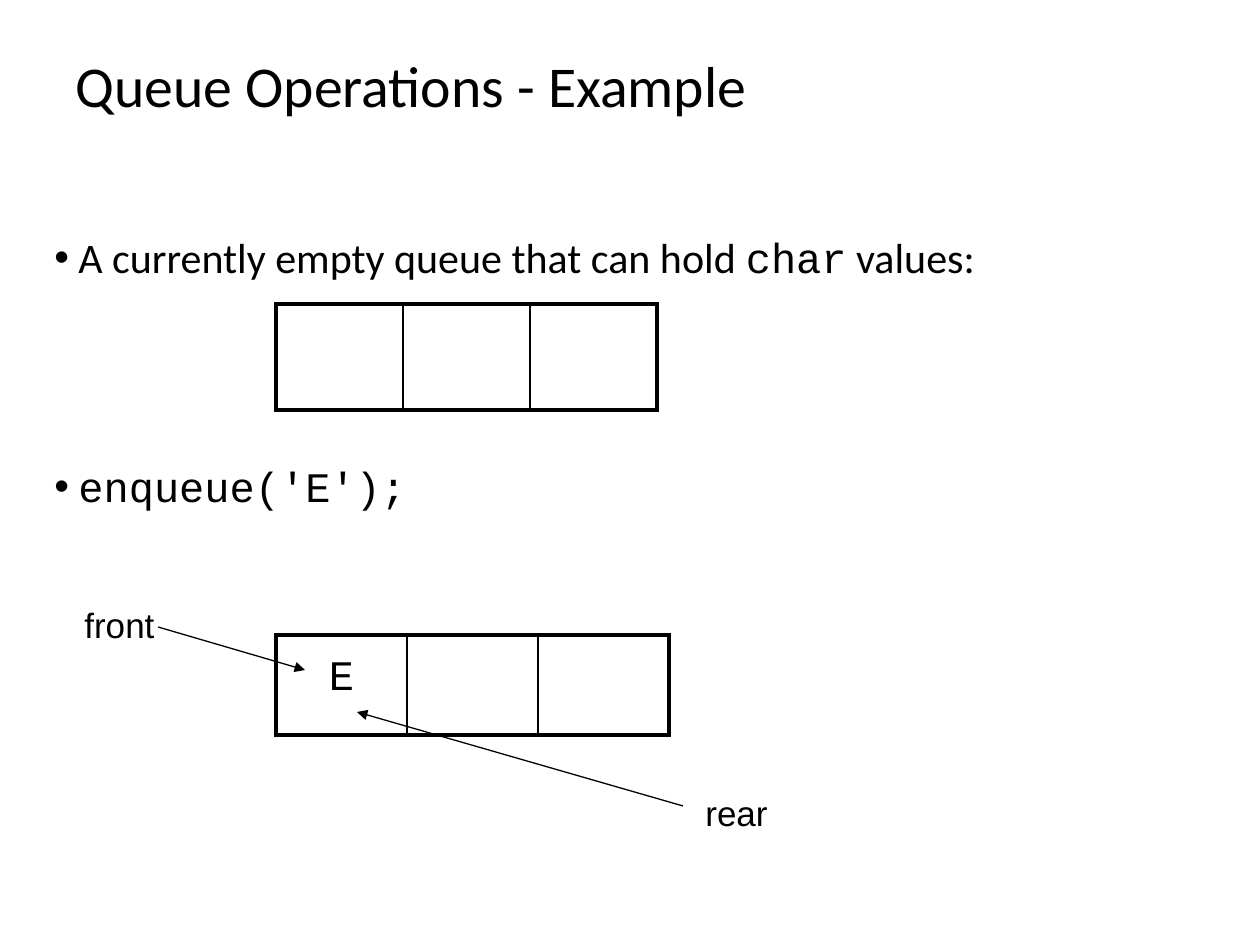
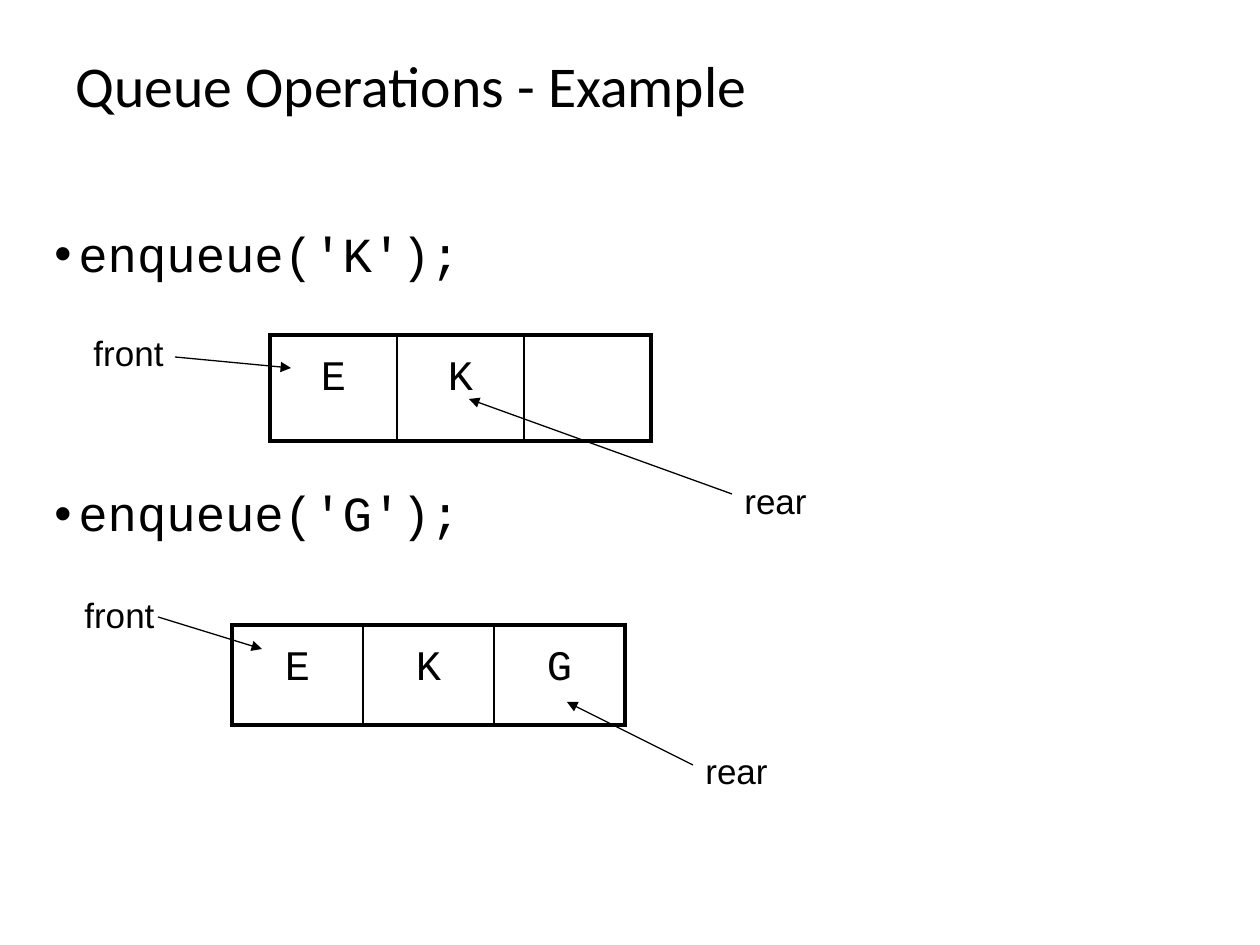
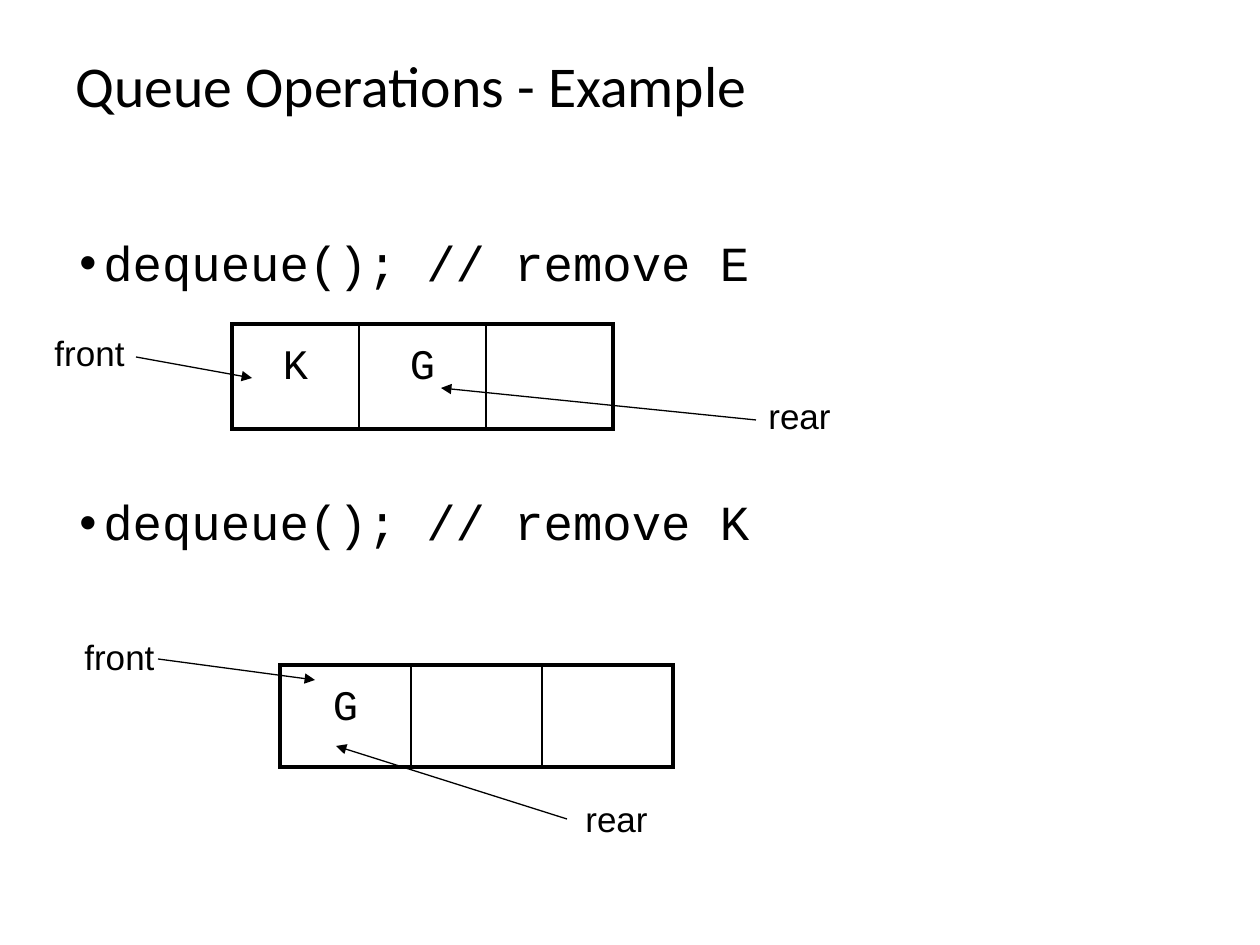
from pptx import Presentation
from pptx.dml.color import RGBColor
from pptx.enum.shapes import MSO_CONNECTOR as Conn
from pptx.enum.text import MSO_ANCHOR as Anchor, PP_ALIGN as Align
from pptx.oxml import parse_xml
from pptx.oxml.ns import nsdecls
from pptx.util import Pt

BLACK = RGBColor(0, 0, 0)
PX = 914400 / 126
SANS, MONO, LABEL = "Calibri", "Courier New", "Arial"
TITLE = "Queue Operations - Example"
THICK, THIN = 2.25, 1


def px(*vals):
    return [round(v * PX) for v in vals]


def write(para, text, face, size):
    run = para.add_run()
    run.text = text
    style = {"name": face, "size": Pt(size), "bold": False}
    for key, val in style.items():
        setattr(run.font, key, val)
    run.font.color.rgb = BLACK


# Each queue: left, top, cell width, height, letters
# Each pointer: word, label corner, arrow start, arrow end
slides = [
    {
        "body": (42, 231, 1187, 683), "size": 24, "gap": 105,
        "points": [
            [("A currently empty queue that can hold ", SANS),
             ("char", MONO), (" values:", SANS)],
            [("enqueue('E');", MONO)],
        ],
        "queues": [(276, 304, 127, 106, ""), (276, 635, 131, 100, "E")],
        "marks": [
            ("front", (72, 597), (158, 627), (305, 670)),
            ("rear", (693, 785), (683, 806), (357, 712)),
        ],
    },
    {
        "body": (42, 224, 1081, 640), "size": 28, "gap": 118,
        "points": [[("enqueue('K');", MONO)], [("enqueue('G');", MONO)]],
        "queues": [(270, 335, 127, 106, "EK"), (232, 625, 131, 100, "EKG")],
        "marks": [
            ("front", (81, 325), (175, 357), (291, 368)),
            ("rear", (732, 473), (732, 494), (469, 399)),
            ("front", (72, 587), (158, 617), (262, 649)),
            ("rear", (693, 743), (693, 765), (567, 702)),
        ],
    },
    {
        "body": (67, 233, 1091, 554), "size": 28, "gap": 118,
        "points": [[("dequeue(); // remove E", MONO)],
                   [("dequeue(); // remove K", MONO)]],
        "queues": [(232, 324, 127, 105, "KG"), (280, 665, 131, 102, "G")],
        "marks": [
            ("front", (42, 325), (136, 357), (252, 378)),
            ("rear", (756, 388), (756, 420), (441, 388)),
            ("front", (72, 629), (158, 659), (315, 680)),
            ("rear", (573, 791), (567, 819), (336, 746)),
        ],
    },
]

deck = Presentation()
deck.slide_width, deck.slide_height = px(1260, 945)

for data in slides:
    slide = deck.slides.add_slide(deck.slide_layouts[5])
    shapes = slide.shapes

    # Title
    title = shapes.title
    title.left, title.top, title.width, title.height = px(63, 10, 1050, 158)
    title.text_frame.vertical_anchor = Anchor.MIDDLE
    para = title.text_frame.paragraphs[0]
    para.alignment, para.line_spacing = Align.LEFT, 0.9
    write(para, TITLE, SANS, 33)

    # Bulleted operations
    frame = shapes.add_textbox(*px(*data["body"])).text_frame
    frame.word_wrap = True
    for i, runs in enumerate(data["points"]):
        para = frame.add_paragraph() if i else frame.paragraphs[0]
        para.line_spacing = 0.9
        if i:
            para.space_before = Pt(data["gap"])
        props = para._p.get_or_add_pPr()
        indent = px(24)[0]
        props.set("marL", str(indent))
        props.set("indent", str(-indent))
        for tag in ('buFont {} typeface="Arial"', 'buChar {} char="•"'):
            props.append(parse_xml(f"<a:{tag.format(nsdecls('a'))}/>"))
        for text, face in runs:
            write(para, text, face, data["size"])

    # Queues of three cells
    for left, top, wide, high, letters in data["queues"]:
        table = shapes.add_table(1, 3, *px(left, top, 3 * wide, high)).table
        table.first_row = table.horz_banding = False
        for col in range(3):
            table.columns[col].width = px(wide)[0]
            cell = table.cell(0, col)
            cell.fill.background()
            edges = {"L": THIN if col else THICK,
                     "R": THIN if col < 2 else THICK,
                     "T": THICK, "B": THICK}
            props = cell._tc.get_or_add_tcPr()
            for i, (side, width) in enumerate(edges.items()):
                props.insert(i, parse_xml(
                    f'<a:ln{side} {nsdecls("a")} w="{Pt(width)}"><a:solidFill>'
                    f'<a:srgbClr val="{BLACK}"/></a:solidFill></a:ln{side}>'))
            if col < len(letters):
                para = cell.text_frame.paragraphs[0]
                para.alignment, para.line_spacing = Align.CENTER, 1.3
                write(para, letters[col], MONO, 24)

    # Front and rear pointers
    for word, spot, start, end in data["marks"]:
        wide = 96 if word == "front" else 88
        frame = shapes.add_textbox(*px(*spot, wide, 54)).text_frame
        frame.word_wrap = False
        write(frame.paragraphs[0], word, LABEL, 20)
        arrow = shapes.add_connector(Conn.STRAIGHT, *px(*start, *end))
        arrow.line.width = Pt(0.75)
        arrow.line.color.rgb = BLACK
        arrow.line._get_or_add_ln().append(
            parse_xml(f'<a:tailEnd {nsdecls("a")} type="triangle"/>'))
        arrow._element.spPr.append(
            parse_xml(f'<a:effectLst {nsdecls("a")}/>'))

deck.save("out.pptx")
